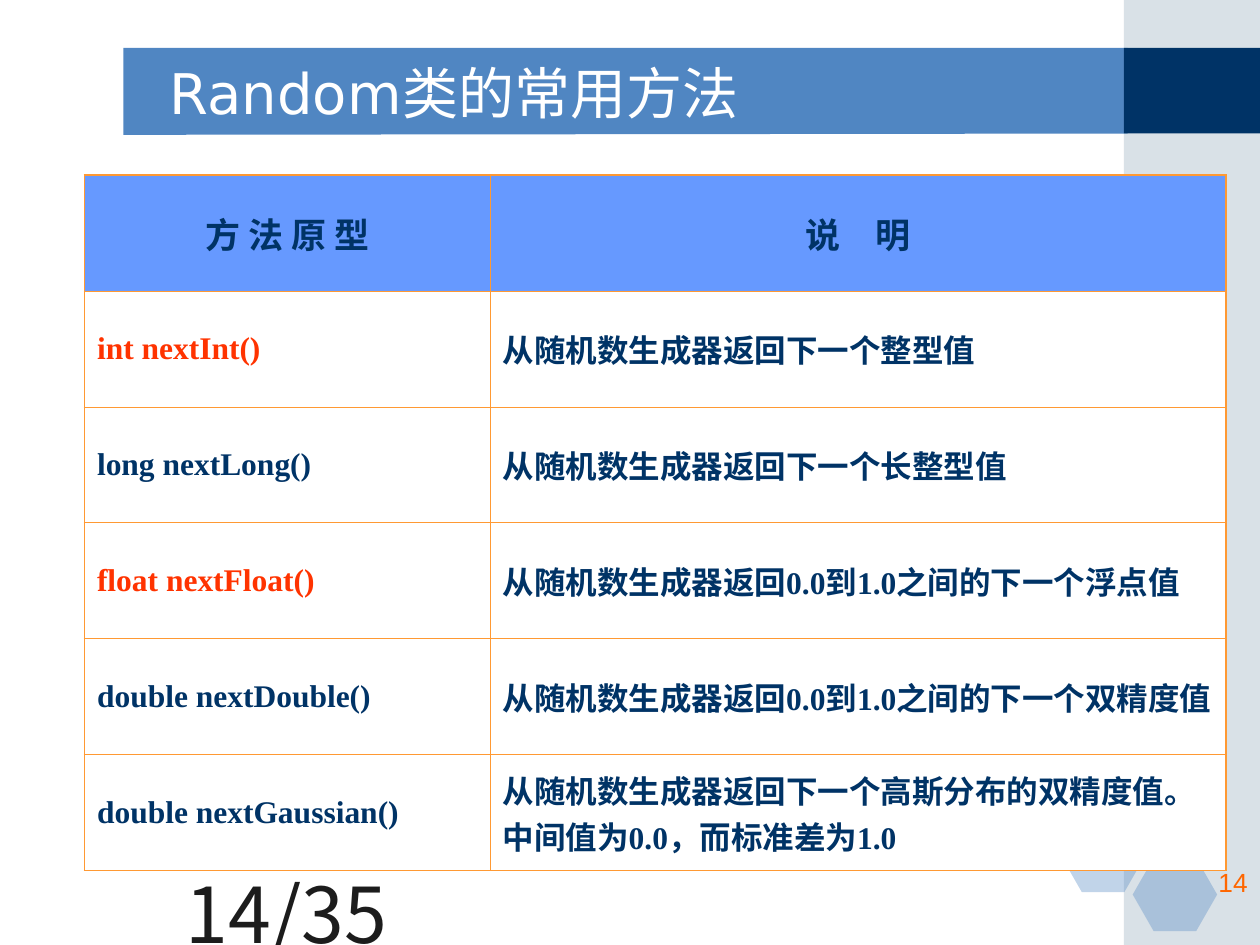
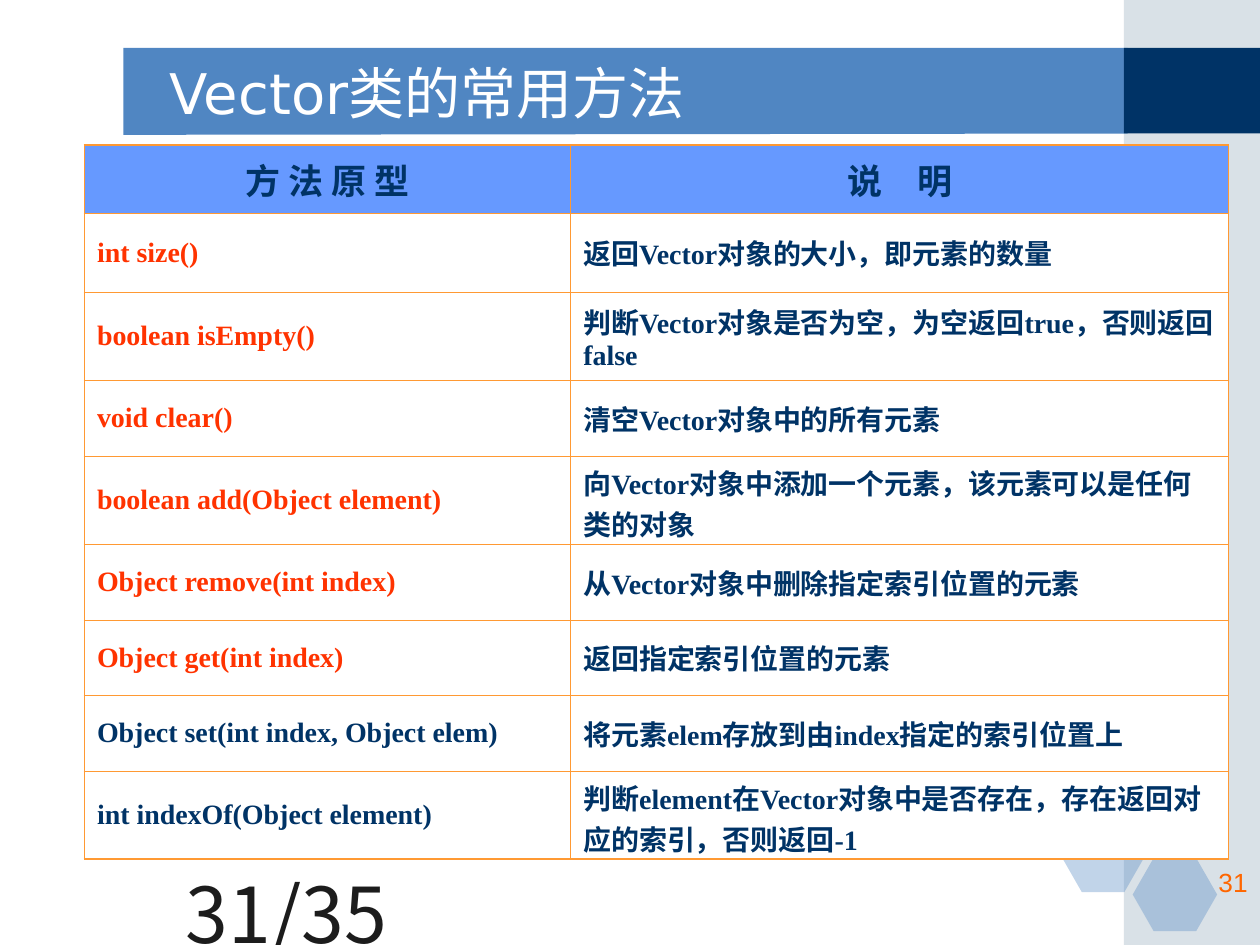
from lxml.etree import SubElement
from pptx import Presentation
from pptx.dml.color import RGBColor
from pptx.enum.shapes import MSO_SHAPE
from pptx.enum.text import MSO_ANCHOR, PP_ALIGN
from pptx.oxml.ns import qn
from pptx.util import Inches, Pt

WHITE = "FFFFFF"
NAVY = "003366"
BLUE = "5086C2"
SIDE_GREY = "A0B5C4"
HEADER_BLUE = "6699FF"
RED = "FF3300"
RULE_ORANGE = "FF9933"
NUMBER_ORANGE = "FF6600"
INK = "1C1C1C"
PAGE_TOTAL = 35
OUTER_RULE, INNER_RULE = 1.08, 0.45
HEADINGS = ("方 法 原 型", "说　明")

RANDOM_METHODS = [
    ("int nextInt()", "从随机数生成器返回下一个整型值", RED),
    ("long nextLong()", "从随机数生成器返回下一个长整型值", NAVY),
    ("float nextFloat()", "从随机数生成器返回0.0到1.0之间的下一个浮点值", RED),
    ("double nextDouble()", "从随机数生成器返回0.0到1.0之间的下一个双精度值", NAVY),
    ("double nextGaussian()",
     "从随机数生成器返回下一个高斯分布的双精度值。中间值为0.0，而标准差为1.0", NAVY),
]
VECTOR_METHODS = [
    ("int size()", "返回Vector对象的大小，即元素的数量", RED),
    ("boolean isEmpty()", "判断Vector对象是否为空，为空返回true，否则返回false", RED),
    ("void clear()", "清空Vector对象中的所有元素", RED),
    ("boolean add(Object element)", "向Vector对象中添加一个元素，该元素可以是任何类的对象", RED),
    ("Object remove(int index)", "从Vector对象中删除指定索引位置的元素", RED),
    ("Object get(int index)", "返回指定索引位置的元素", RED),
    ("Object set(int index, Object elem)", "将元素elem存放到由index指定的索引位置上", NAVY),
    ("int indexOf(Object element)",
     "判断element在Vector对象中是否存在，存在返回对应的索引，否则返回-1", NAVY),
]


def color(hex_code):
    return RGBColor.from_string(hex_code)


def paint(shape, hex_code, opacity=100):
    shape.shadow.inherit = False
    shape.line.fill.background()
    shape.fill.solid()
    shape.fill.fore_color.rgb = color(hex_code)
    if opacity < 100:
        tint = shape.fill._xPr.find(qn("a:solidFill"))[0]
        SubElement(tint, qn("a:alpha"), val=str(opacity * 1000))


def add_block(page, kind, left, top, width, height, hex_code, opacity=100):
    block = page.shapes.add_shape(
        kind, Inches(left), Inches(top), Inches(width), Inches(height))
    paint(block, hex_code, opacity)
    return block


def write(frame, text, font_name, size, hex_code, bold=False, align=PP_ALIGN.LEFT):
    para = frame.paragraphs[0]
    para.text = text
    para.alignment = align
    para.font.name = font_name
    para.font.size = Pt(size)
    para.font.bold = bold
    para.font.color.rgb = color(hex_code)


def add_text(page, left, top, width, height, text, font_name, size, hex_code,
             align=PP_ALIGN.LEFT, anchor=MSO_ANCHOR.TOP):
    box = page.shapes.add_textbox(
        Inches(left), Inches(top), Inches(width), Inches(height))
    box.text_frame.word_wrap = True
    box.text_frame.vertical_anchor = anchor
    write(box.text_frame, text, font_name, size, hex_code, align=align)


def add_backdrop(page):
    outline = page.shapes.build_freeform(Inches(0.98), Inches(0.38))
    outline.add_line_segments(
        [(Inches(x), Inches(y)) for x, y in ((8.95, 0.38), (8.95, 1.06), (0.98, 1.07))])
    paint(outline.convert_to_shape(), BLUE)
    add_block(page, MSO_SHAPE.RECTANGLE, 8.92, 0, 1.08, 7.5, SIDE_GREY, 40)
    add_block(page, MSO_SHAPE.RECTANGLE, 8.92, 0.38, 1.08, 0.68, NAVY)
    for left, top in ((8.42, 6.5), (9, 6.17), (8.99, 6.81)):
        hexagon = add_block(page, MSO_SHAPE.HEXAGON, left, top, 0.67, 0.58, BLUE, 35)
        hexagon.adjustments[0] = 0.286


def add_page(deck, title, number):
    page = deck.slides.add_slide(deck.slide_layouts[6])
    add_backdrop(page)
    add_text(page, 1.25, 0.42, 7.33, 0.62, title, "DejaVu Sans", 32, WHITE,
             anchor=MSO_ANCHOR.MIDDLE)
    add_text(page, 0, 6.83, 3.17, 0.5, f"{number}/{PAGE_TOTAL}",
             "Noto Sans CJK SC", 44, INK, PP_ALIGN.RIGHT)
    add_text(page, 7.92, 6.83, 2.08, 0.5, str(number), "Arial", 15,
             NUMBER_ORANGE, PP_ALIGN.RIGHT)
    return page


def rule_cell(cell, outer_sides):
    properties = cell._tc.get_or_add_tcPr()
    for side in "LRTB":
        weight = OUTER_RULE if side in outer_sides else INNER_RULE
        line = SubElement(properties, qn(f"a:ln{side}"), w=str(Pt(weight)))
        fill = SubElement(line, qn("a:solidFill"))
        SubElement(fill, qn("a:srgbClr"), val=RULE_ORANGE)


def add_method_table(page, top, widths, heights, methods, size):
    table = page.shapes.add_table(
        len(heights), len(widths), Inches(0.67), Inches(top),
        Inches(sum(widths)), Inches(sum(heights))).table
    table.first_row = False
    table.horz_banding = False
    for column, width in zip(table.columns, widths):
        column.width = Inches(width)
    for row, height in zip(table.rows, heights):
        row.height = Inches(height)

    last_row = len(methods)
    for row_index in range(last_row + 1):
        for column_index in range(2):
            cell = table.cell(row_index, column_index)
            outer_sides = "LR"[column_index]
            outer_sides += {0: "T", last_row: "B"}.get(row_index, "")
            rule_cell(cell, outer_sides)
            cell.vertical_anchor = MSO_ANCHOR.MIDDLE
            cell.fill.solid()
            cell.fill.fore_color.rgb = color(WHITE if row_index else HEADER_BLUE)
            if row_index == 0:
                write(cell.text_frame, HEADINGS[column_index], "Courier New", 20,
                      NAVY, True, PP_ALIGN.CENTER)
            else:
                method = methods[row_index - 1]
                hex_code = NAVY if column_index else method[2]
                write(cell.text_frame, method[column_index], "Times New Roman",
                      size, hex_code, True)


def main():
    deck = Presentation()
    deck.slide_width = Inches(10)
    deck.slide_height = Inches(7.5)

    random_page = add_page(deck, "Random类的常用方法", 14)
    add_method_table(random_page, 1.39, (3.22, 5.84), [0.92] * 6, RANDOM_METHODS, 18)

    vector_page = add_page(deck, "Vector类的常用方法", 31)
    add_method_table(vector_page, 1.15, (3.86, 5.22),
                     [0.54, 0.63, 0.7, 0.6, 0.7, 0.6, 0.6, 0.6, 0.7], VECTOR_METHODS, 16)
    deck.save("out.pptx")


if __name__ == "__main__":
    main()
